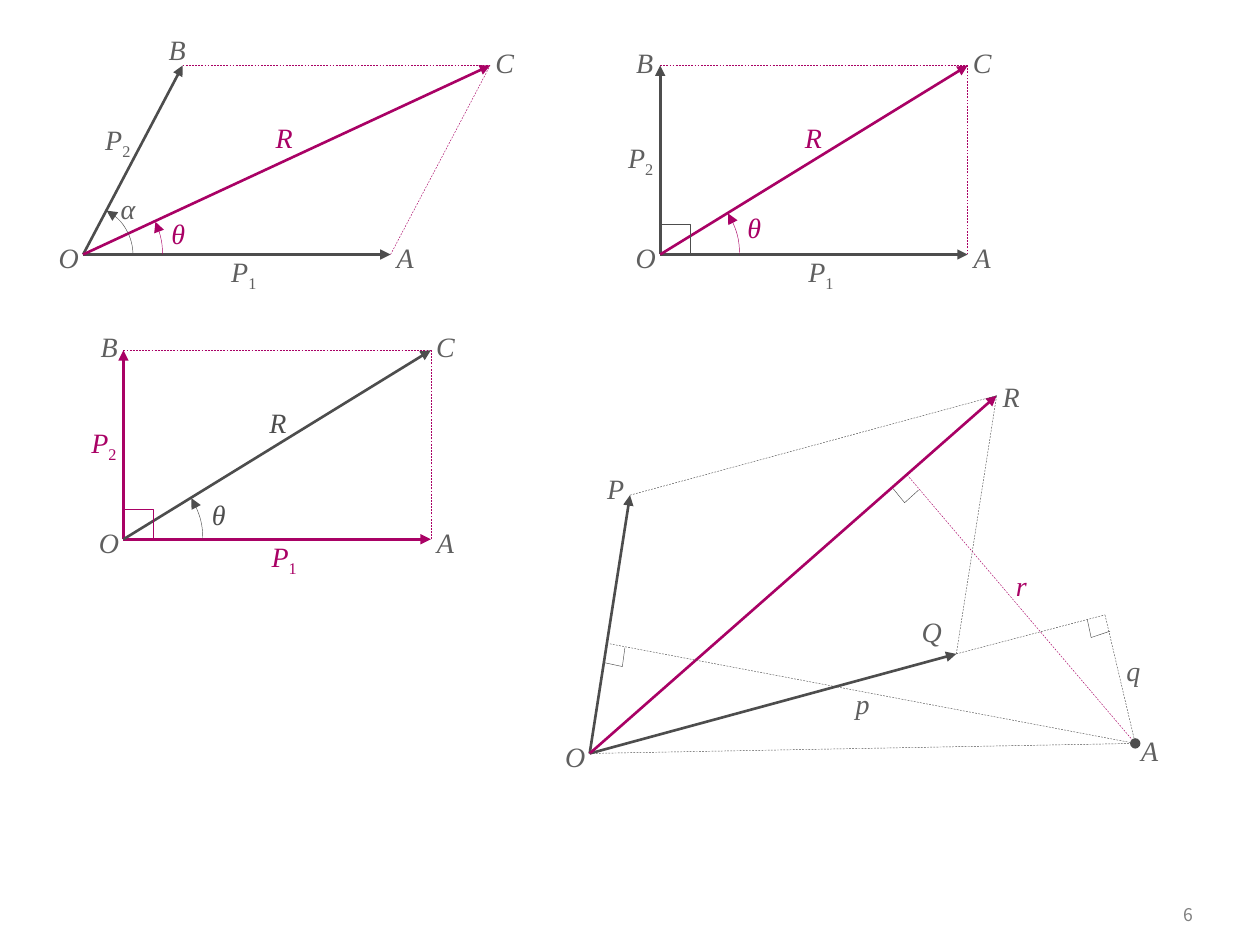
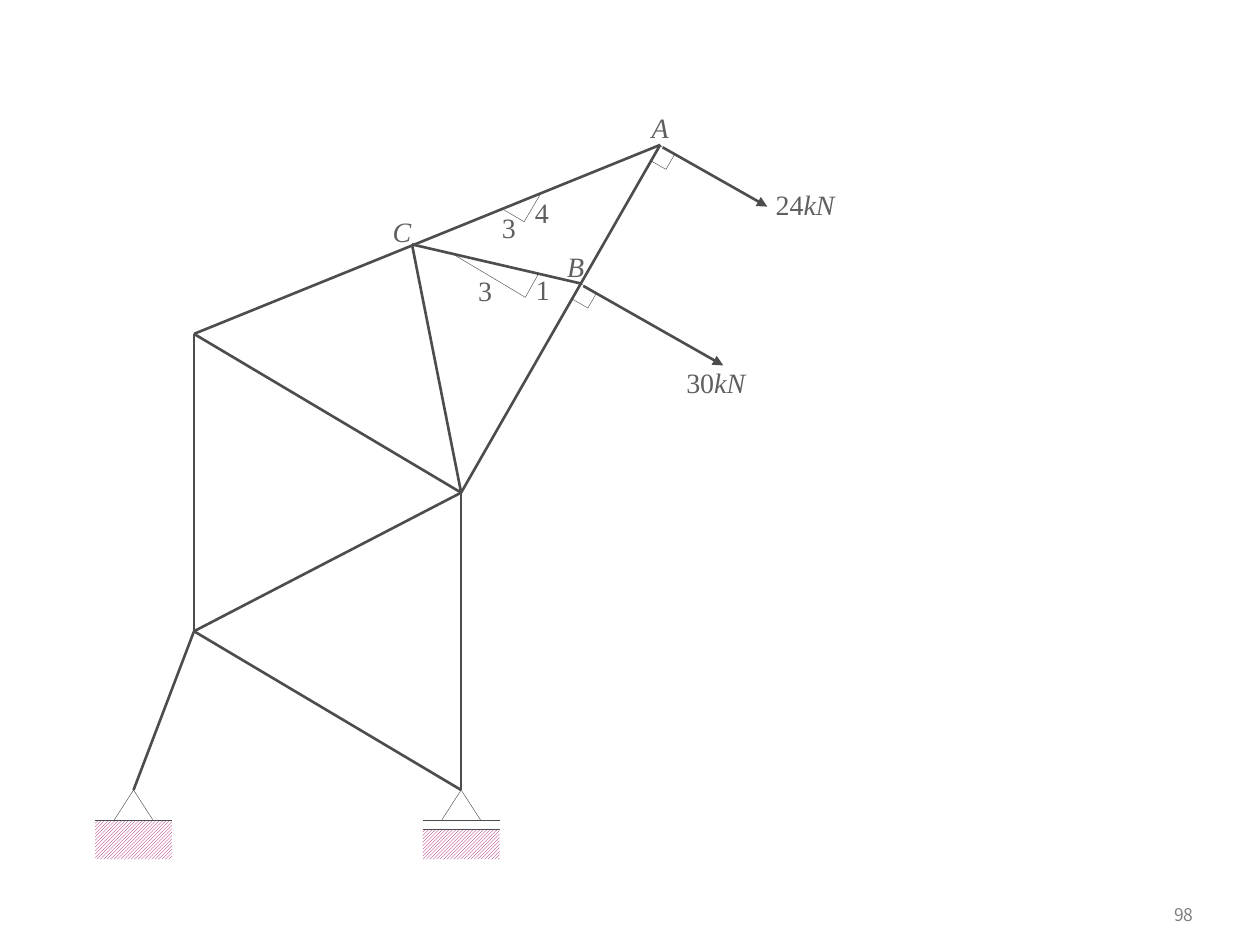
from dataclasses import dataclass
from itertools import pairwise

from lxml.etree import SubElement
from pptx import Presentation
from pptx.dml.color import RGBColor
from pptx.enum.dml import MSO_LINE, MSO_PATTERN
from pptx.enum.shapes import MSO_CONNECTOR, MSO_SHAPE
from pptx.enum.text import MSO_ANCHOR, MSO_AUTO_SIZE, PP_ALIGN
from pptx.oxml.ns import qn
from pptx.util import Inches, Pt


@dataclass(frozen=True)
class Theme:
    ink: RGBColor = RGBColor(0x4D, 0x4D, 0x4D)
    accent: RGBColor = RGBColor(0xA9, 0x01, 0x65)
    text: RGBColor = RGBColor(0x5F, 0x5F, 0x5F)
    muted: RGBColor = RGBColor(0x80, 0x80, 0x80)
    paper: RGBColor = RGBColor(0xFF, 0xFF, 0xFF)
    math_font: str = "Times New Roman"
    page_font: str = "Noto Sans CJK KR"
    label_size: int = 16
    page_size: int = 10
    thick: float = 1.5
    thin: float = 0.25


THEME = Theme()
INK, ACCENT, TEXT = THEME.ink, THEME.accent, THEME.text
TIGHT = {"margin_left": 0, "margin_right": 0, "margin_top": 0, "margin_bottom": 0}

# Force parallelograms: label offsets are measured from O, arcs are (symbol, radius, degrees)
SIDE, HEIGHT = 2.44, 1.5
PARALLELOGRAMS = [
    {"origin": (0.66, 2.02), "skew": 0.79, "components": INK, "resultant": ACCENT,
     "arcs": [(0.63, 24.3, ACCENT), (0.395, 61.9, INK)],
     "B": (0.55, -1.81), "P2": (0, -1.1), "R": (1.4, -1.06), "θ": (0.56, -0.35),
     "α": (0.16, -0.55)},
    {"origin": (5.24, 2.02), "skew": 0, "components": INK, "resultant": ACCENT,
     "arcs": [(0.63, 31.1, ACCENT)],
     "B": (-0.32, -1.71), "P2": (-0.43, -0.95), "R": (1.02, -1.06), "θ": (0.55, -0.4)},
    {"origin": (0.98, 4.28), "skew": 0, "components": ACCENT, "resultant": INK,
     "arcs": [(0.63, 31.1, INK)],
     "B": (-0.31, -1.71), "P2": (-0.43, -0.95), "R": (1.03, -1.06), "θ": (0.56, -0.38)},
]

# Moments of concurrent forces about A
MOMENT_POINTS = {
    "O": (4.68, 5.98), "P": (5, 3.93), "Q": (7.59, 5.19), "R": (7.91, 3.14), "A": (9.01, 5.9),
    "foot_p": (4.84, 5.11), "foot_q": (8.77, 4.88), "foot_r": (7.2, 3.77),
}
FORCES = [("OQ", INK), ("OP", INK), ("OR", ACCENT)]
GUIDES = [
    ("Q", "R", INK), ("P", "R", INK), ("Q", "foot_q", INK),
    ("foot_p", "A", INK), ("foot_r", "A", ACCENT), ("foot_q", "A", INK),
]
RIGHT_ANGLES = [
    [(7.09, 3.88), (7.18, 3.99), (7.29, 3.89)],
    [(4.8, 5.26), (4.94, 5.29), (4.96, 5.14)],
    [(8.63, 4.92), (8.66, 5.06), (8.81, 5.01)],
]
MOMENT_LABELS = [
    ("R", 7.83, 2.96, TEXT), ("P", 4.69, 3.69, TEXT), ("Q", 7.2, 4.83, TEXT),
    ("p", 6.65, 5.4, TEXT), ("q", 8.8, 5.14, TEXT), ("r", 7.91, 4.46, ACCENT),
    ("O", 4.37, 5.82, TEXT), ("A", 8.93, 5.77, TEXT),
]

# Loaded truss
JOINTS = {
    "pin": (1.06, 6.27), "roller": (3.66, 6.27), "lower": (1.54, 5.01), "upper": (1.54, 2.65),
    "knee": (3.66, 3.91), "A": (5.24, 1.15), "B": (4.61, 2.25), "C": (3.27, 1.94),
}
MEMBERS = [
    ("pin", "lower"), ("roller", "lower"), ("knee", "lower"), ("knee", "roller"),
    ("knee", "upper"), ("upper", "lower"), ("A", "upper"), ("C", "knee"), ("C", "B"),
    ("A", "knee"),
]
# Each support: joint, top of hatching, height of hatching
SUPPORTS = [("roller", 6.58, 0.24), ("pin", 6.51, 0.31)]
LOADS = [((4.63, 2.27), (5.74, 2.9)), ((5.26, 1.17), (6.09, 1.64))]
SLOPES = [
    [(3.99, 1.66), (4.16, 1.76), (4.29, 1.54)],
    [(3.6, 2.02), (4.17, 2.36), (4.27, 2.18)],
]
LOAD_SQUARES = [(5.19, 1.18), (4.57, 2.28)]
TRUSS_LABELS = [
    ([("24", ""), ("kN", "i")], 6.13, 1.49, 0.52, 0.24),
    ([("30", ""), ("kN", "i")], 5.42, 2.9, 0.52, 0.24),
    ([("A", "i")], 5.16, 0.88, 0.16, 0.27),
    ([("B", "i")], 4.49, 1.98, 0.16, 0.27),
    ([("C", "i")], 3.11, 1.7, 0.16, 0.27),
    ([("4", "")], 4.22, 1.55, 0.16, 0.24),
    ([("3", "")], 3.96, 1.67, 0.16, 0.24),
    ([("1", "")], 4.23, 2.16, 0.16, 0.24),
    ([("3", "")], 3.77, 2.17, 0.16, 0.24),
]


def inches(*values):
    return [Inches(value) for value in values]


def set_all(target, values):
    for name, value in values.items():
        setattr(target, name, value)


def stroke(shape, color, width, dash=False, **ends):
    """Set the line of a shape or connector; ends maps headEnd or tailEnd to an arrow type."""
    shape.line.color.rgb = color
    shape.line.width = Pt(width)
    if dash:
        shape.line.dash_style = MSO_LINE.DASH
    for end, kind in ends.items():
        SubElement(shape.line._get_or_add_ln(), qn(f"a:{end}"), type=kind)


def add_line(shapes, start, end, color=INK, width=THEME.thin, **style):
    connector = shapes.add_connector(MSO_CONNECTOR.STRAIGHT, *inches(*start, *end))
    stroke(connector, color, width, **style)
    SubElement(connector._element.spPr, qn("a:effectLst"))
    return connector


def add_arrow(shapes, start, end, color=INK):
    return add_line(shapes, start, end, color, THEME.thick, tailEnd="triangle")


def add_outline(shapes, kind, left, top, width, height, color=INK, **style):
    shape = shapes.add_shape(kind, *inches(left, top, width, height))
    shape.shadow.inherit = False
    shape.fill.background()
    stroke(shape, color, THEME.thin, **style)
    return shape


def add_corner(shapes, points, color=INK):
    """Draw an open right-angle mark through three points."""
    first, *others = [tuple(inches(*point)) for point in points]
    builder = shapes.build_freeform(*first)
    builder.add_line_segments(others, close=False)
    corner = builder.convert_to_shape()
    corner.shadow.inherit = False
    corner.fill.background()
    stroke(corner, color, THEME.thin)


def add_text(shapes, runs, left, top, width, height, color=TEXT, frame_format=None,
             font=THEME.math_font, size=THEME.label_size, align=PP_ALIGN.CENTER):
    """Write runs of (text, style), where style is "i" for italic or "sub" for subscript."""
    frame = shapes.add_textbox(*inches(left, top, width, height)).text_frame
    set_all(frame, {"word_wrap": True, **(frame_format or {})})
    paragraph = frame.paragraphs[0]
    paragraph.alignment = align
    for text, style in runs:
        run = paragraph.add_run()
        run.text = text
        set_all(run.font, {"name": font, "size": Pt(size), "italic": style == "i"})
        run.font.color.rgb = color
        if style == "sub":
            run._r.get_or_add_rPr().set("baseline", "-25000")


def add_symbol(shapes, symbol, left, top, color=TEXT):
    """Label a point or force; a second character becomes a subscript."""
    runs = [(symbol[0], "i")] + [(digit, "sub") for digit in symbol[1:]]
    width = 0.55 if len(symbol) > 1 else 0.39
    add_text(shapes, runs, left, top, width, 0.37, color,
             {"auto_size": MSO_AUTO_SIZE.SHAPE_TO_FIT_TEXT})


def add_parallelogram(shapes, figure):
    x, y = figure["origin"]
    skew, components, resultant = figure["skew"], figure["components"], figure["resultant"]
    a, b, c = (x + SIDE, y), (x + skew, y - HEIGHT), (x + skew + SIDE, y - HEIGHT)
    for end, color in ((a, components), (b, components), (c, resultant)):
        add_arrow(shapes, (x, y), end, color)
    for start in (b, a):
        add_line(shapes, start, c, ACCENT, dash=True)

    for radius, degrees, color in figure["arcs"]:
        arc = add_outline(shapes, MSO_SHAPE.ARC, x - radius, y - radius, 2 * radius, 2 * radius,
                          color, headEnd="triangle")
        arc.adjustments[0] = (360 - degrees) * 0.6
        arc.adjustments[1] = 0
    if not skew:
        mark = 0.24
        add_corner(shapes, [(x, y - mark), (x + mark, y - mark), (x + mark, y)], components)

    component_text = TEXT if components == INK else components
    offsets = {
        "O": (-0.31, -0.16, TEXT), "A": (SIDE - 0.08, -0.16, TEXT),
        "C": (SIDE + skew - 0.08, -HEIGHT - 0.21, TEXT), "P1": (1, -0.05, component_text),
        "B": (*figure["B"], TEXT), "P2": (*figure["P2"], component_text),
        "θ": (*figure["θ"], resultant),
    }
    if "α" in figure:
        offsets["α"] = (*figure["α"], TEXT)
    for symbol, (dx, dy, color) in offsets.items():
        add_symbol(shapes, symbol, x + dx, y + dy, color)
    dx, dy = figure["R"]
    add_text(shapes, [("R", "i")], x + dx, y + dy, 0.39, 0.27, resultant, TIGHT)


def add_moment_figure(shapes):
    points = MOMENT_POINTS
    for (start, end), color in FORCES:
        add_arrow(shapes, points[start], points[end], color)
    for start, end, color in GUIDES:
        add_line(shapes, points[start], points[end], color, dash=True)
    add_line(shapes, points["O"], points["A"], dash=True, tailEnd="oval")
    for corner in RIGHT_ANGLES:
        add_corner(shapes, corner)
    for label in MOMENT_LABELS:
        add_symbol(shapes, *label)


def add_support(shapes, joint, hatch_top, hatch_height):
    x, y = JOINTS[joint]
    width, base = 0.61, y + 0.24
    left = x - width / 2
    ground = shapes.add_shape(MSO_SHAPE.RECTANGLE, *inches(left, hatch_top, width, hatch_height))
    ground.shadow.inherit = False
    ground.line.fill.background()
    ground.fill.patterned()
    ground.fill.pattern = MSO_PATTERN.LIGHT_UPWARD_DIAGONAL
    ground.fill.fore_color.rgb = ACCENT
    ground.fill.back_color.rgb = THEME.paper
    for level in sorted({base, hatch_top}):
        add_line(shapes, (left, level), (left + width, level))
    add_outline(shapes, MSO_SHAPE.ISOSCELES_TRIANGLE, x - 0.155, y, 0.31, 0.24)


def add_truss(shapes):
    for support in SUPPORTS:
        add_support(shapes, *support)
    for start, end in MEMBERS:
        add_line(shapes, JOINTS[start], JOINTS[end], width=THEME.thick)
    for start, end in LOADS:
        add_arrow(shapes, start, end)
    for slope in SLOPES:
        for start, end in pairwise(slope):
            add_line(shapes, start, end)
    for left, top in LOAD_SQUARES:
        add_outline(shapes, MSO_SHAPE.RECTANGLE, left, top, 0.14, 0.14).rotation = 29.8
    for runs, *box in TRUSS_LABELS:
        add_text(shapes, runs, *box, frame_format=TIGHT)


def add_page(presentation, number):
    slide = presentation.slides.add_slide(presentation.slide_layouts[6])
    add_text(slide.shapes, [(number, "")], 8.86, 7.09, 0.71, 0.33, THEME.muted,
             {"vertical_anchor": MSO_ANCHOR.MIDDLE}, THEME.page_font, THEME.page_size,
             PP_ALIGN.RIGHT)
    return slide


def main():
    presentation = Presentation()
    set_all(presentation, {"slide_width": Inches(10), "slide_height": Inches(7.5)})

    forces = add_page(presentation, "6")
    for figure in PARALLELOGRAMS:
        add_parallelogram(forces.shapes.add_group_shape().shapes, figure)
    add_moment_figure(forces.shapes.add_group_shape().shapes)

    truss = add_page(presentation, "98")
    add_truss(truss.shapes.add_group_shape().shapes)

    presentation.save("out.pptx")


if __name__ == "__main__":
    main()
